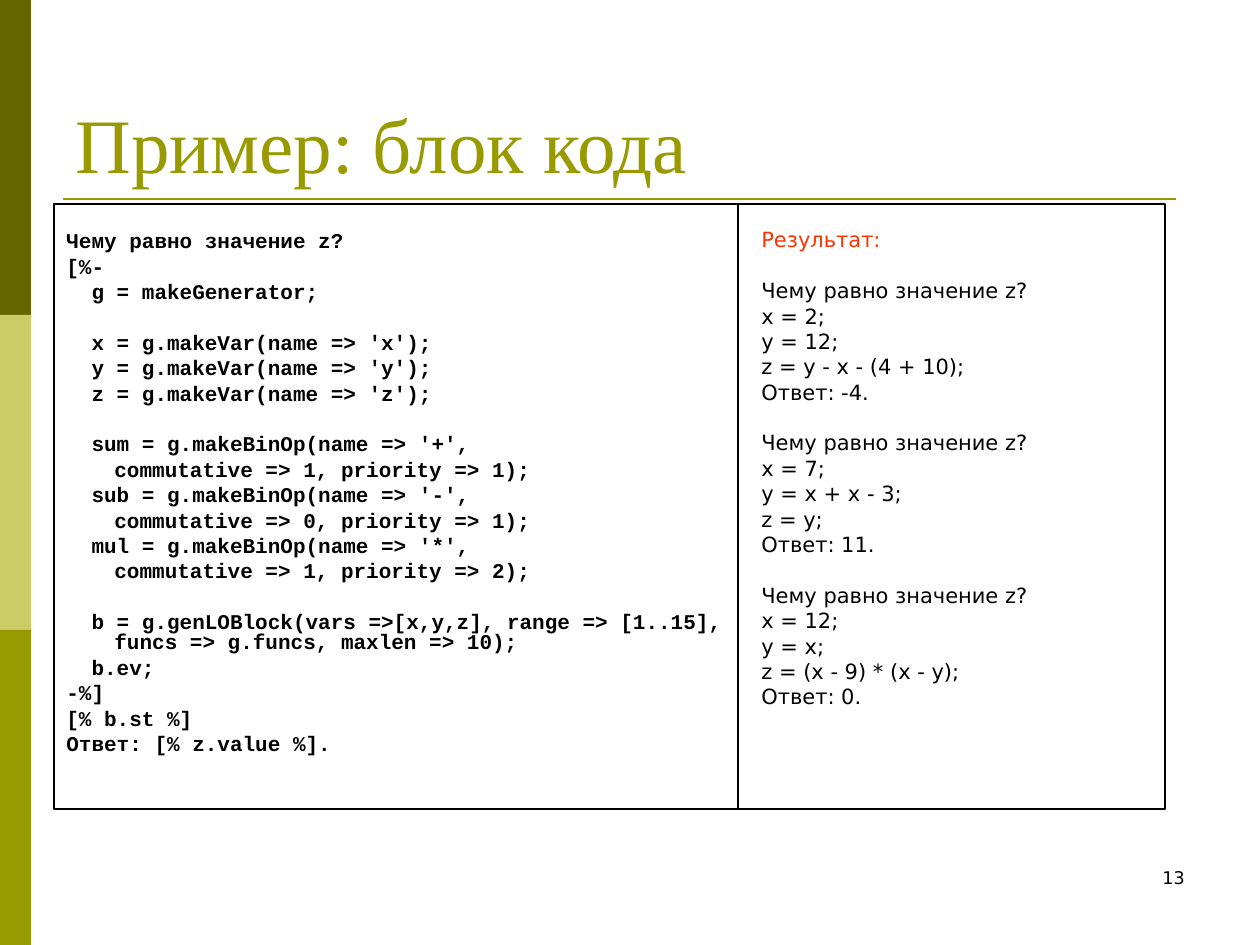
from dataclasses import dataclass

from lxml import etree
from pptx import Presentation
from pptx.dml.color import RGBColor
from pptx.enum.shapes import MSO_CONNECTOR, MSO_SHAPE
from pptx.enum.text import MSO_ANCHOR, MSO_AUTO_SIZE, PP_ALIGN
from pptx.oxml.ns import qn
from pptx.util import Pt

RECT = MSO_SHAPE.RECTANGLE
LINE = MSO_CONNECTOR.STRAIGHT
BOTTOM = MSO_ANCHOR.BOTTOM
LEFT, RIGHT = PP_ALIGN.LEFT, PP_ALIGN.RIGHT
FIXED = MSO_AUTO_SIZE.NONE

SCALE = 914400 // 126  # EMU in one px


@dataclass(frozen=True)
class Theme:
    dark: str = "666600"
    pale: str = "CCCC66"
    olive: str = "999900"
    ink: str = "000000"
    red: str = "FF3300"
    serif: str = "Times New Roman"
    sans: str = "DejaVu Sans"
    mono: str = "Courier New"
    head: int = 44
    body: int = 12
    small: int = 10
    pitch: float = 11.5  # height of a line
    space: int = 3       # before a paragraph
    gap: float = 17.5    # before a new group


THEME = Theme()

TITLE = "Пример: блок кода"
NUMBER = "13"

# Each inner list is a group of lines set apart by a gap.
CODE = [
    ["Чему равно значение z?", "[%-", "  g = makeGenerator;"],
    ["  x = g.makeVar(name => 'x');",
     "  y = g.makeVar(name => 'y');",
     "  z = g.makeVar(name => 'z');"],
    ["  sum = g.makeBinOp(name => '+',",
     "\tcommutative => 1, priority => 1);",
     "  sub = g.makeBinOp(name => '-',",
     "\tcommutative => 0, priority => 1);",
     "  mul = g.makeBinOp(name => '*',",
     "\tcommutative => 1, priority => 2);"],
    ["  b = g.genLOBlock(vars =>[x,y,z], range => [1..15], "
     "funcs => g.funcs, maxlen => 10);",
     "  b.ev;", "-%]", "[% b.st %]", "Ответ: [% z.value %]."],
]
RESULT = [
    ["Результат:"],
    ["Чему равно значение z?", "x = 2;", "y = 12;",
     "z = y - x - (4 + 10);", "Ответ: -4."],
    ["Чему равно значение z?", "x = 7;", "y = x + x - 3;",
     "z = y;", "Ответ: 11."],
    ["Чему равно значение z?", "x = 12;", "y = x;",
     "z = (x - 9) * (x - y);", "Ответ: 0."],
]

BANDS = [THEME.dark, THEME.pale, THEME.olive]
BAND_W, BAND_H = 31, 315
FRAME_X, FRAME_Y, FRAME_H = 54, 204, 605
FRAMES = [684, 427]  # widths, side by side
INDENT = 48


def px(*vals):
    return [round(val * SCALE) for val in vals]


def paint(font, face, size, color, bold=False):
    font.name, font.size, font.bold = face, Pt(size), bold
    font.color.rgb = RGBColor.from_string(color)


def add_rect(slide, box, fill=None, line=None):
    rect = slide.shapes.add_shape(RECT, *px(*box))
    rect.shadow.inherit = False
    if fill:
        rect.fill.solid()
        rect.fill.fore_color.rgb = RGBColor.from_string(fill)
    else:
        rect.fill.background()
    if line:
        rect.line.color.rgb = RGBColor.from_string(line)
        rect.line.width = Pt(0.75)
    else:
        rect.line.fill.background()


def add_rule(slide, x1, x2, y):
    rule = slide.shapes.add_connector(LINE, *px(x1, y, x2, y))
    rule.line.color.rgb = RGBColor.from_string(THEME.olive)
    rule.line.width = Pt(1.5)
    etree.SubElement(rule._element.spPr, qn("a:effectLst"))


def add_box(slide, box):
    frame = slide.shapes.add_textbox(*px(*box)).text_frame
    frame.word_wrap = True
    return frame


def add_groups(slide, box, inset, groups, face, bold=False):
    """Write groups of lines with hanging indents; return the text frame."""
    frame = add_box(slide, box)
    frame.margin_top = px(inset)[0]
    rows = [(line, THEME.space if i else THEME.gap)
            for group in groups for i, line in enumerate(group)]
    for i, (line, before) in enumerate(rows):
        para = frame.add_paragraph() if i else frame.paragraphs[0]
        para.text = line
        para.line_spacing = Pt(THEME.pitch)
        para.space_before = Pt(before if i else 0)
        props = para._p.get_or_add_pPr()
        hang = px(INDENT)[0]
        props.set("marL", str(hang))
        props.set("indent", str(-hang))
        paint(para.runs[0].font, face, THEME.body, THEME.ink, bold)
    return frame


def add_title(slide):
    title = slide.shapes.title
    title.left, title.top, title.width, title.height = px(63, 38, 1134, 157)
    frame = title.text_frame
    frame.text = TITLE
    frame.auto_size = FIXED
    frame.vertical_anchor = BOTTOM
    para = frame.paragraphs[0]
    para.alignment = LEFT
    paint(para.runs[0].font, THEME.serif, THEME.head, THEME.olive)


def add_number(slide):
    frame = add_box(slide, (903, 861, 294, 63))
    frame.text = NUMBER
    para = frame.paragraphs[0]
    para.alignment = RIGHT
    paint(para.runs[0].font, THEME.sans, THEME.small, THEME.ink)


def main():
    deck = Presentation()
    deck.slide_width, deck.slide_height = px(1260, 945)
    slide = deck.slides.add_slide(deck.slide_layouts[5])

    for i, color in enumerate(BANDS):
        add_rect(slide, (0, i * BAND_H, BAND_W, BAND_H), fill=color)
    add_rule(slide, 63, 1176, 199)
    add_number(slide)
    for i, width in enumerate(FRAMES):
        left = FRAME_X + sum(FRAMES[:i])
        add_rect(slide, (left, FRAME_Y, width, FRAME_H), line=THEME.ink)

    add_title(slide)
    add_groups(slide, (54, 224, 696, 624), 9, CODE, THEME.mono, bold=True)
    result = add_groups(slide, (749, 224, 428, 649), 8, RESULT, THEME.sans)
    label = result.paragraphs[0].runs[0].font
    label.color.rgb = RGBColor.from_string(THEME.red)
    deck.save("out.pptx")


if __name__ == "__main__":
    main()
